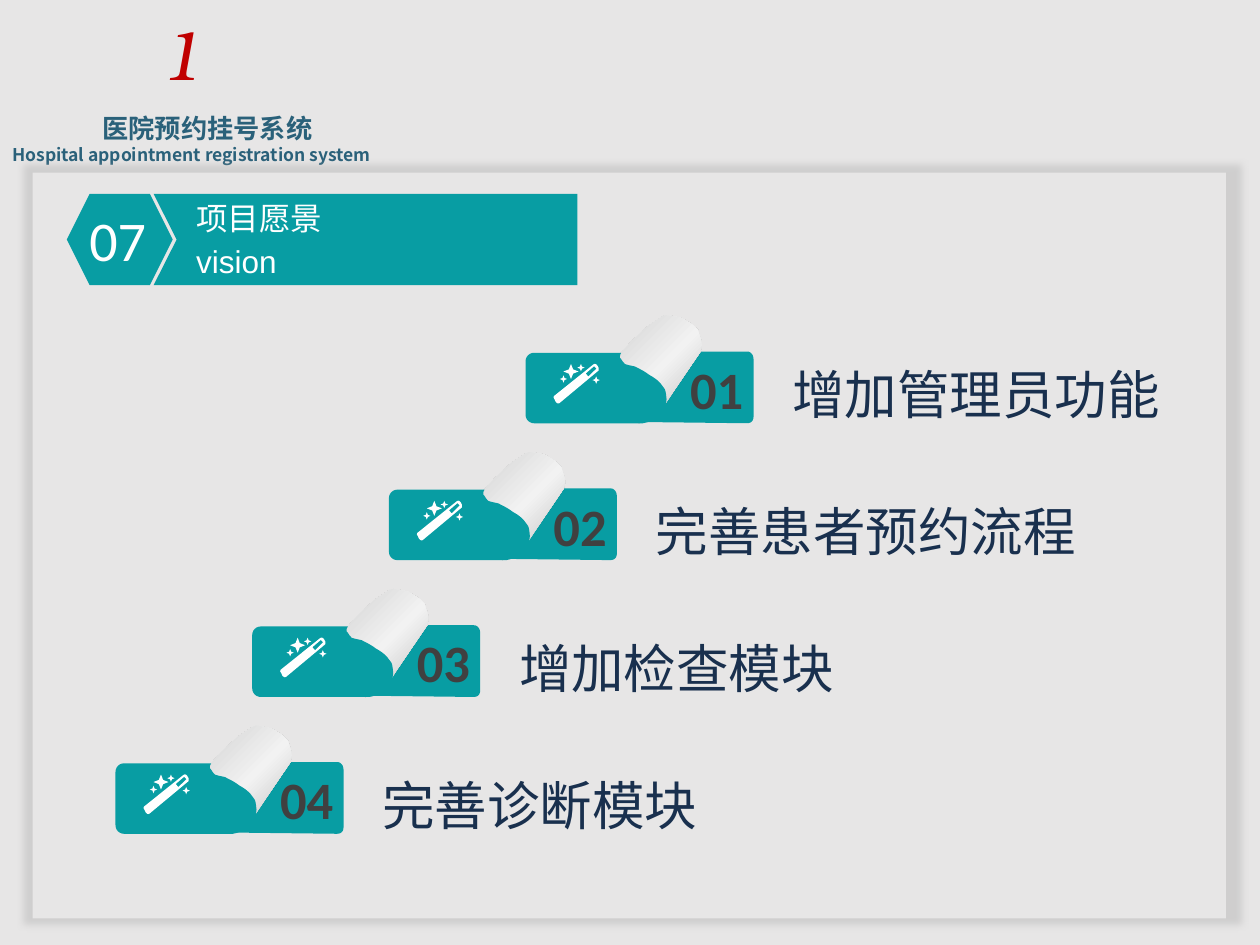
import math
from dataclasses import dataclass

import lxml.etree
import pptx
import pptx.dml.color
import pptx.enum.shapes
import pptx.enum.text
import pptx.oxml
import pptx.oxml.ns
import pptx.util

Pt = pptx.util.Pt
qn = pptx.oxml.ns.qn
SHAPES = pptx.enum.shapes.MSO_SHAPE
CENTER = pptx.enum.text.PP_ALIGN.CENTER
CJK = "Noto Sans CJK SC"
COLORS = {
    "paper": "E7E6E6", "teal": "089DA3", "white": "FFFFFF", "red": "C00000",
    "header": "2A617A", "number": "404040", "title": "19304E", "shadow": "A6A6A6",
}
CURL_STOPS = ((8, "D9D9D9"), (50, "F2F2F2"), (98, "BFBFBF"))


@dataclass
class Style:
    font: str
    size: float
    color: str
    bold: bool = False
    italic: bool = False


@dataclass
class Tag:
    number: str
    title: str


TAGS = [
    Tag("01", "增加管理员功能"), Tag("02", "完善患者预约流程"),
    Tag("03", "增加检查模块"), Tag("04", "完善诊断模块"),
]
FIRST_TAG = (300.3, 180)
TAG_STEP = (-78.1, 78.2)

# Outlines run relative to a tag's corner: pairs are corners, sextets are Bézier curves.
RIGHT_PART = [
    (66.2, 61.2), (78.5, 53.3), (100, 20.9), (126.7, 20.9),
    (128.9, 20.9, 130.3, 23, 130.3, 25.2), (130.3, 58.3),
    (130.3, 60.5, 128.9, 61.9, 126.7, 61.9),
]
CURL = [
    (78.5, 0.7), (69.8, 6.5), (60.5, 15.1), (54, 22.3), (52.6, 25.9), (55.4, 28.1),
    (70.6, 35.3), (77.8, 41.8), (77.8, 53.3), (71.3, 59), (64.8, 61.9), (75.6, 56.9),
    (100.1, 20.9), (100.1, 19.4, 100.8, 19.4, 100.8, 16.6),
    (100.1, 12.2, 100.1, 13.7, 98.6, 8.6), (95.8, 5.8, 95, 5, 92.2, 3.6),
    (89.3, 1.4, 88.6, 1.4, 84.2, 0.7), (80.6, 0, 80.6, 0, 78.5, 0.7),
]
LEFT_PART = [
    (54.7, 21.6), (54, 23, 54, 22.3, 54, 24.5), (55.4, 25.9, 54.7, 25.9, 56.9, 28.1),
    (59, 28.8, 59.8, 28.8, 62.6, 29.5), (65.5, 31, 67, 31.7, 69.1, 33.1),
    (72, 35.3, 73.4, 35.3, 77, 38.9), (79.9, 43.2, 79.9, 41, 80.6, 48.2),
    (79.9, 54.7, 79.2, 53.3, 77, 56.9), (72.7, 60.5, 70.6, 61.2, 67, 61.9),
    (5, 61.9), (2.2, 61.9, 0, 59.8, 0, 56.9), (0, 26.6), (0, 23.8, 2.2, 21.6, 5, 21.6),
]
WAND = [
    (38.9, 28.2), (39.6, 27.9), (40.3, 28.1), (41, 28.8), (41.8, 30.2), (41.8, 31.7),
    (19.4, 50.4), (18.7, 50.6), (18, 50.4), (17.3, 49.7), (16.6, 48.2), (16, 47.2),
    (16.2, 46.4),
]
WAND_TIP = [(40.6, 30.6), (39.2, 29.3), (34.4, 33.4), (35.9, 35.2)]
STARS = [(21.7, 36.6, 2.1), (26, 32.3, 4.3), (31.7, 30.1, 2.1), (40.4, 37.2, 2.1)]


def star(x: float, y: float, radius: float) -> list:
    points = []
    for step in range(8):
        reach = radius * (0.4 if step % 2 else 1)
        angle = step * math.pi / 4
        points.append((x + reach * math.cos(angle), y + reach * math.sin(angle)))
    return points


def flatten(outline: list, steps: int = 6) -> list:
    """Turn the Bézier curves of an outline into short straight pieces."""
    points = []
    for part in outline:
        if len(part) == 2:
            points.append(part)
            continue
        controls = [points[-1], part[:2], part[2:4], part[4:]]
        for step in range(1, steps + 1):
            t = step / steps
            weights = ((1 - t) ** 3, 3 * t * (1 - t) ** 2, 3 * t * t * (1 - t), t ** 3)
            points.append(tuple(
                sum(w * control[axis] for w, control in zip(weights, controls))
                for axis in (0, 1)))
    return points


def rgb(name: str) -> pptx.dml.color.RGBColor:
    return pptx.dml.color.RGBColor.from_string(COLORS[name])


def paint(shape, color: str = "") -> None:
    shape.shadow.inherit = False
    shape.line.fill.background()
    if color:
        shape.fill.solid()
        shape.fill.fore_color.rgb = rgb(color)
    else:
        shape.fill.background()


def add_outline(slide, outlines: list, color: str = "", left: float = 0, top: float = 0):
    builder = None
    for outline in outlines:
        points = [(Pt(left + x), Pt(top + y)) for x, y in flatten(outline)]
        if builder is None:
            builder = slide.shapes.build_freeform(*points[0], scale=1.0)
        else:
            builder.move_to(*points[0])
        builder.add_line_segments(points[1:], close=True)
    shape = builder.convert_to_shape()
    paint(shape, color)
    return shape


def add_curl_gradient(shape) -> None:
    stops = "".join(f'<a:gs pos="{pos * 1000}"><a:srgbClr val="{color}"/></a:gs>'
                    for pos, color in CURL_STOPS)
    gradient = pptx.oxml.parse_xml(
        f'<a:gradFill {pptx.oxml.ns.nsdecls("a")}><a:gsLst>{stops}</a:gsLst>'
        '<a:path path="circle"><a:fillToRect r="100000" b="100000"/></a:path></a:gradFill>')
    properties = shape._element.spPr
    properties.replace(properties.find(qn("a:noFill")), gradient)


def add_panel_shadow(shape) -> None:
    effects = shape._element.spPr.find(qn("a:effectLst"))
    shadow = lxml.etree.SubElement(
        effects, qn("a:outerShdw"), blurRad=str(Pt(4)), dist=str(Pt(2)), dir="0",
        sx="102000", sy="102000", algn="ctr", rotWithShape="0")
    color = lxml.etree.SubElement(shadow, qn("a:srgbClr"), val=COLORS["shadow"])
    lxml.etree.SubElement(color, qn("a:alpha"), val="36000")


def add_run(para, text: str, style: Style) -> None:
    span = para.add_run()
    span.text = text
    font = span.font
    font.name, font.size = style.font, Pt(style.size)
    font.bold, font.italic = style.bold, style.italic
    font.color.rgb = rgb(style.color)
    east_asian = lxml.etree.Element(qn("a:ea"), typeface=style.font)
    span._r.get_or_add_rPr().find(qn("a:latin")).addnext(east_asian)


def add_text(slide, area: tuple, text: str, style: Style, align=None, wrap: bool = True):
    box = slide.shapes.add_textbox(*map(Pt, area))
    frame = box.text_frame
    frame.word_wrap = wrap
    frame.auto_size = pptx.enum.text.MSO_AUTO_SIZE.SHAPE_TO_FIT_TEXT
    para = frame.paragraphs[0]
    para.alignment = align
    add_run(para, text, style)
    return frame


def add_shape(slide, kind, area: tuple, color: str = ""):
    shape = slide.shapes.add_shape(kind, *map(Pt, area))
    paint(shape, color)
    return shape


def add_header(slide) -> None:
    add_text(slide, (67.7, 2.2, 71.3, 55.4), "1",
             Style("TeX Gyre Bonum", 40, "red", italic=True), CENTER)
    frame = add_text(slide, (0, 60.5, 236.9, 37.4), "医院预约挂号系统",
                     Style(CJK, 15, "header", bold=True), CENTER)
    add_run(frame.add_paragraph(), "Hospital appointment registration system",
            Style(CJK, 10, "header", bold=True))


def add_banner(slide) -> None:
    add_outline(slide, [[(87.8, 110.8), (330, 110.8), (330, 163), (87.8, 163), (101, 136.9)]],
                "teal")
    add_shape(slide, SHAPES.HEXAGON, (38.2, 110.8, 60.5, 52.2), "teal")
    add_text(slide, (36, 113.8, 62.6, 46.1), "07", Style("Calibri", 32, "white"), CENTER)
    add_text(slide, (105, 110.2, 201.6, 29), "项目愿景", Style(CJK, 18, "white"))
    caption = add_shape(slide, SHAPES.SNIP_1_RECTANGLE, (105, 134.8, 221.8, 29))
    caption.adjustments[0] = 0
    para = caption.text_frame.paragraphs[0]
    para.alignment = pptx.enum.text.PP_ALIGN.LEFT
    add_run(para, "vision", Style("Arial", 18, "white"))


def add_tag(slide, tag: Tag, left: float, top: float) -> None:
    add_outline(slide, [RIGHT_PART], "teal", left, top)
    add_curl_gradient(add_outline(slide, [CURL], left=left, top=top))
    add_outline(slide, [LEFT_PART], "teal", left, top)
    add_text(slide, (left + 87, top + 20.3, 45, 43.9), tag.number,
             Style("Calibri", 30, "number", bold=True), wrap=False)
    wand = [WAND, WAND_TIP] + [star(*place) for place in STARS]
    add_outline(slide, wand, "white", left, top)
    frame = add_text(slide, (left + 145.4, top + 14.4, 303.1, 50.4), tag.title,
                     Style(CJK, 30, "title"))
    frame.paragraphs[0].line_spacing = 1.25


def main() -> None:
    deck = pptx.Presentation()
    deck.slide_width, deck.slide_height = Pt(720), Pt(540)
    slide = deck.slides.add_slide(deck.slide_layouts[6])
    slide.background.fill.solid()
    slide.background.fill.fore_color.rgb = rgb("paper")
    add_header(slide)
    add_panel_shadow(add_shape(slide, SHAPES.RECTANGLE, (18.7, 98.6, 681.8, 426.2), "paper"))
    add_banner(slide)
    for index, tag in enumerate(TAGS):
        add_tag(slide, tag, *(start + index * step for start, step in zip(FIRST_TAG, TAG_STEP)))
    deck.save("out.pptx")


if __name__ == "__main__":
    main()
